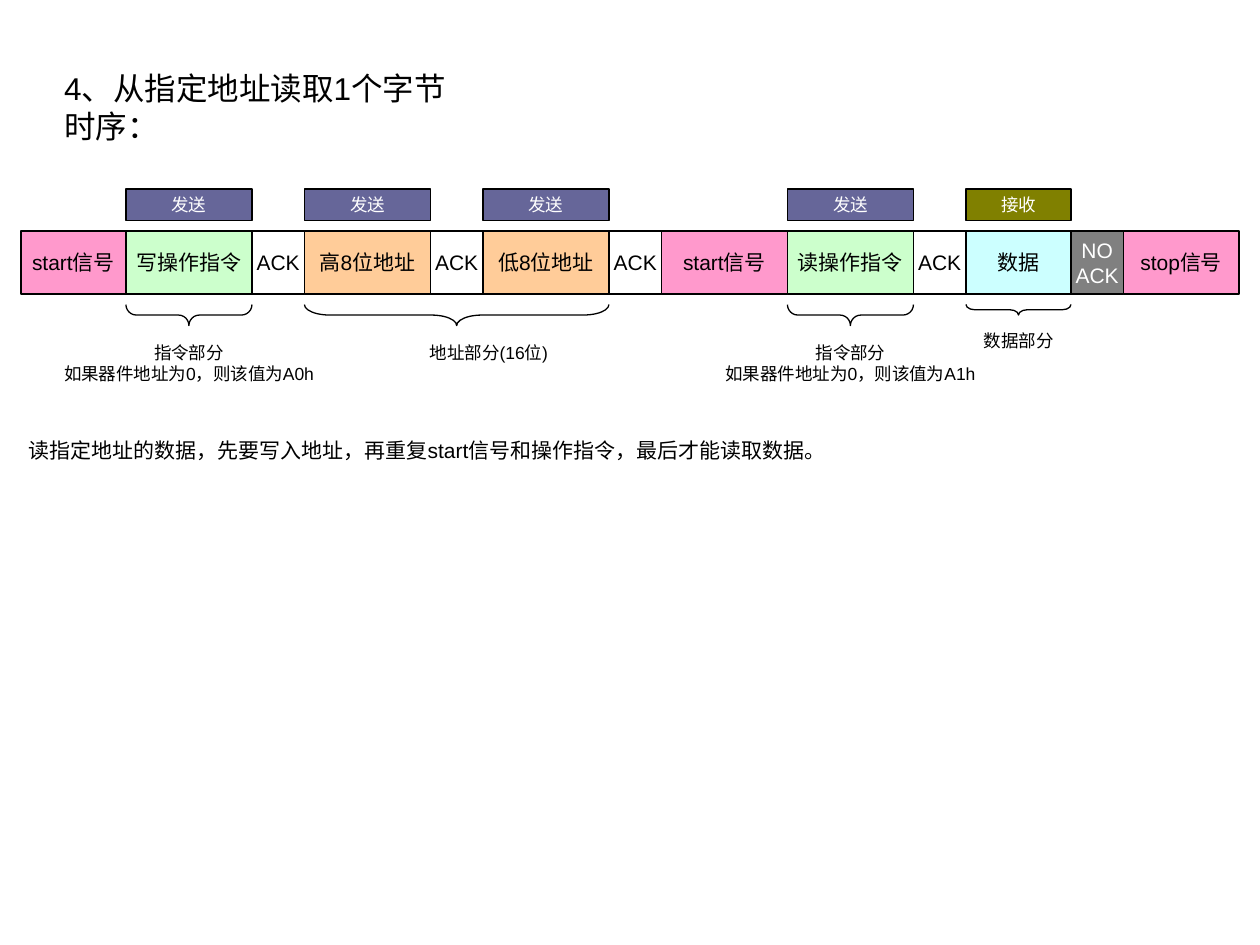
"""Builds the slide on the timing of reading one byte from a given address."""
from dataclasses import dataclass

from pptx import Presentation
from pptx.dml.color import RGBColor
from pptx.enum.shapes import MSO_SHAPE
from pptx.enum.text import MSO_ANCHOR, MSO_AUTO_SIZE, PP_ALIGN
from pptx.util import Inches, Pt


@dataclass(frozen=True)
class Theme:
    font: str = "Arial"
    title: int = 18
    body: int = 12
    label: int = 10
    line: float = 0.75
    black: str = "000000"
    white: str = "FFFFFF"
    signal: str = "FF99CC"
    command: str = "CCFFCC"
    address: str = "FFCC99"
    data: str = "CCFFFF"
    no_ack: str = "808080"
    send: str = "666699"
    receive: str = "808000"


class TimingSlide:
    def __init__(self, slide, theme):
        self.shapes = slide.shapes
        self.theme = theme

    def set_lines(self, shape, lines, size, color, centered):
        frame = shape.text_frame
        frame.word_wrap = False
        frame.text = "\n".join(lines)
        if centered:
            frame.vertical_anchor = MSO_ANCHOR.MIDDLE
        for paragraph in frame.paragraphs:
            paragraph.alignment = PP_ALIGN.CENTER if centered else PP_ALIGN.LEFT
            paragraph.font.name = self.theme.font
            paragraph.font.size = Pt(size)
            paragraph.font.color.rgb = RGBColor.from_string(color)

    def outline(self, shape):
        shape.shadow.inherit = False
        shape.line.width = Pt(self.theme.line)
        shape.line.color.rgb = RGBColor.from_string(self.theme.black)

    def box(self, left, top, width, height, lines, fill, color, size):
        cell = self.shapes.add_shape(
            MSO_SHAPE.RECTANGLE, Inches(left), Inches(top), Inches(width), Inches(height))
        self.outline(cell)
        cell.fill.solid()
        cell.fill.fore_color.rgb = RGBColor.from_string(fill)
        self.set_lines(cell, lines, size, color, True)

    def text(self, left, top, width, height, lines, size):
        passage = self.shapes.add_textbox(
            Inches(left), Inches(top), Inches(width), Inches(height))
        self.set_lines(passage, lines, size, self.theme.black, False)
        passage.text_frame.auto_size = MSO_AUTO_SIZE.SHAPE_TO_FIT_TEXT

    def caption(self, left, top, width, height, lines):
        passage = self.shapes.add_textbox(
            Inches(left), Inches(top), Inches(width), Inches(height))
        self.set_lines(passage, lines, self.theme.label, self.theme.black, True)

    def brace(self, left, top, span, depth):
        brace = self.shapes.add_shape(
            MSO_SHAPE.LEFT_BRACE,
            Inches(left + (span - depth) / 2), Inches(top + (depth - span) / 2),
            Inches(depth), Inches(span))
        brace.rotation = 270
        brace.adjustments[0] = span / 12 / depth
        brace.fill.background()
        self.outline(brace)


def main():
    theme = Theme()
    prs = Presentation()
    prs.slide_width, prs.slide_height = Inches(10), Inches(7.5)
    timing = TimingSlide(prs.slides.add_slide(prs.slide_layouts[6]), theme)

    timing.text(0.41, 0.5, 3.41, 0.7, ["4、从指定地址读取1个字节", "时序："], theme.title)

    unit = 1 / 12
    send, receive = ("发送", theme.send), ("接收", theme.receive)
    ack = (5, ["ACK"], theme.white, None)
    sequence = [
        (10, ["start信号"], theme.signal, None),
        (12, ["写操作指令"], theme.command, send),
        ack,
        (12, ["高8位地址"], theme.address, send),
        ack,
        (12, ["低8位地址"], theme.address, send),
        ack,
        (12, ["start信号"], theme.signal, None),
        (12, ["读操作指令"], theme.command, send),
        ack,
        (10, ["数据"], theme.data, receive),
        (5, ["NO", "ACK"], theme.no_ack, None),
        (11, ["stop信号"], theme.signal, None),
    ]
    column = 2
    for units, lines, fill, direction in sequence:
        left, width = column * unit, units * unit
        color = theme.white if fill == theme.no_ack else theme.black
        timing.box(left, 22 * unit, width, 0.5, lines, fill, color, theme.body)
        if direction:
            word, shade = direction
            timing.box(left, 1.5, width, 0.25, [word], shade, theme.white, theme.label)
        column += units

    for first, units, depth in [(12, 12, 2), (29, 29, 2), (75, 12, 2), (92, 10, 1)]:
        timing.brace(first * unit, 29 * unit, units * unit, depth * unit)

    for left, value in [(0.25, "A0h"), (5.5, "A1h")]:
        timing.caption(left, 2.67, 2.5, 0.42,
                       ["指令部分", f"如果器件地址为0，则该值为{value}"])
    timing.caption(2.42, 2.67, 2.92, 0.25, ["地址部分(16位)"])
    timing.caption(7.5, 2.58, 1.17, 0.25, ["数据部分"])

    timing.text(0.13, 3.42, 6.6, 0.3,
                ["读指定地址的数据，先要写入地址，再重复start信号和操作指令，最后才能读取数据。"],
                theme.body)
    prs.save("out.pptx")


if __name__ == "__main__":
    main()
